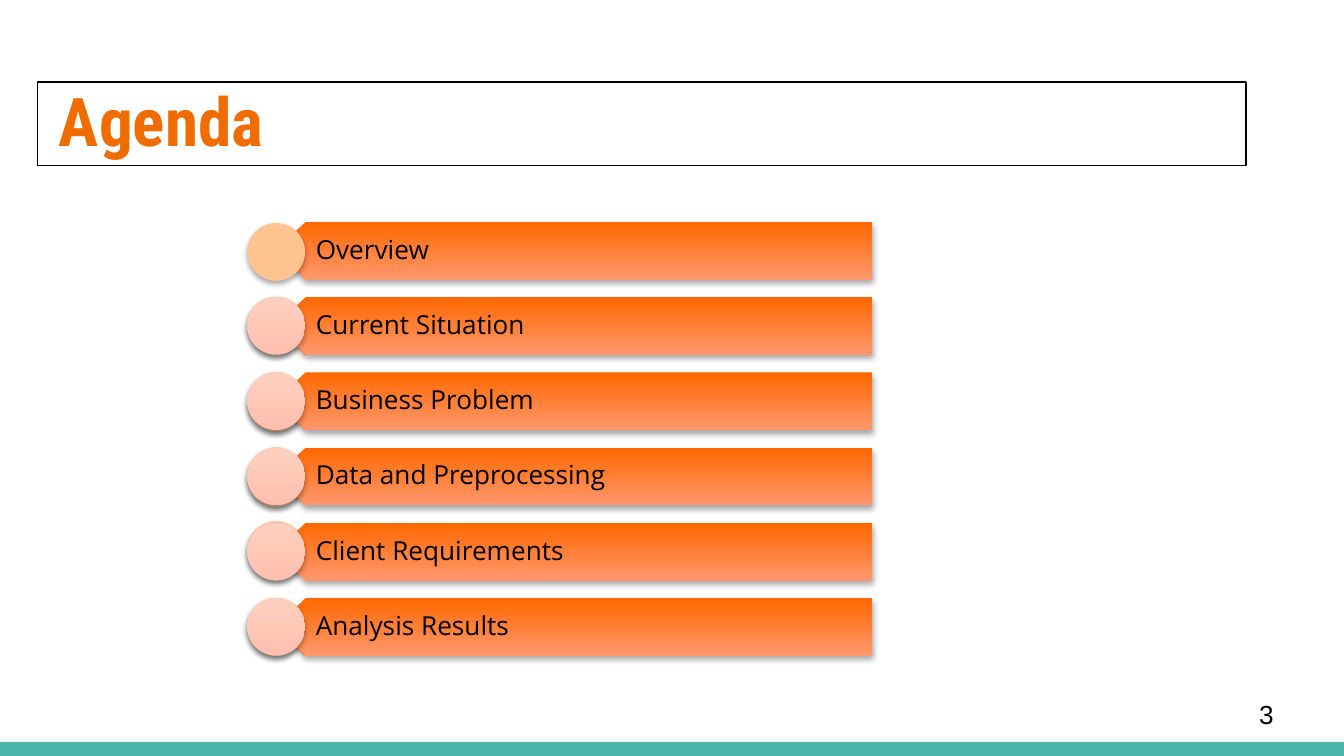
from pptx import Presentation
from pptx.dml.color import RGBColor
from pptx.enum.shapes import MSO_SHAPE as Kind
from pptx.enum.text import MSO_ANCHOR as Anchor, PP_ALIGN as Align
from pptx.oxml import parse_xml
from pptx.oxml.ns import nsdecls, qn
from pptx.util import Inches, Pt

TITLE = "Agenda"
TOPICS = [
    "Overview",
    "Current Situation",
    "Business Problem",
    "Data and Preprocessing",
    "Client Requirements",
    "Analysis Results",
]
PAGE = "3"

THEME = {
    "ink": "000000",
    "title": "EF6C00",
    "strip": "4DB6AC",
    "disc": "FFC392",
    "bar": ("FF6800", "FF976D"),
    "glow": ("FFC0B0", "FFCFBE"),
    "head": ("Roboto Condensed", 36),
    "body": ("Open Sans", 14),
    "page": ("Arial", 14),
}

TOP, STEP, SIZE = 1.65, 0.56, 0.43
DISC, BAR, LABEL = 1.84, 2.06, 2.16
RIGHT = 6.49
SHIFTS = [0.01, 0, 0.01, 0.01, -0.01, 0]


def color(name):
    return RGBColor.from_string(THEME[name])


def add_shape(slide, kind, box, fill=None, shade=False):
    shape = slide.shapes.add_shape(kind, *map(Inches, box))
    shape.shadow.inherit = False
    shape.line.fill.background()
    if fill is None:
        shape.fill.background()
    elif isinstance(THEME[fill], tuple):
        shape.fill.gradient()
        shape.fill.gradient_angle = 90
        for pos, (stop, tone) in enumerate(zip(shape.fill.gradient_stops, THEME[fill])):
            stop.position = pos
            stop.color.rgb = RGBColor.from_string(tone)
    else:
        shape.fill.solid()
        shape.fill.fore_color.rgb = color(fill)
    if shade:
        shape._element.spPr.find(qn("a:effectLst")).append(parse_xml(
            f'<a:outerShdw {nsdecls("a")} blurRad="{Pt(3.1)}" dist="{Pt(1.8)}" '
            'dir="5400000" rotWithShape="0"><a:srgbClr val="000000">'
            '<a:alpha val="35000"/></a:srgbClr></a:outerShdw>'))
    return shape


def add_text(slide, text, box, style, tone="ink", pads=(0.1,) * 4, anchor=Anchor.MIDDLE):
    frame = slide.shapes.add_textbox(*map(Inches, box)).text_frame
    frame.word_wrap = True
    frame.vertical_anchor = anchor
    frame.margin_left, frame.margin_top, frame.margin_right, frame.margin_bottom = map(Inches, pads)
    frame.text = text
    para = frame.paragraphs[0]
    font = para.runs[0].font
    font.name, size = THEME[style]
    font.size = Pt(size)
    font.color.rgb = color(tone)
    return para


def add_row(slide, top, text):
    bar = add_shape(slide, Kind.PENTAGON, (BAR, top, RIGHT - BAR, SIZE), "bar", True)
    bar.rotation = 180
    para = add_text(slide, text, (LABEL, top, RIGHT - LABEL, SIZE), "body",
                    pads=(0.19, 0.06, 0.11, 0.06))
    para.alignment = Align.JUSTIFY
    para.line_spacing = 0.9


def main():
    deck = Presentation()
    deck.slide_width = Inches(10)
    deck.slide_height = deck.slide_width * 9 // 16
    slide = deck.slides.add_slide(deck.slide_layouts[6])

    add_shape(slide, Kind.RECTANGLE, (0, 5.52, 10, 0.11), "strip")
    head = add_text(slide, TITLE, (0.34, 0.49, 9.32, 0.77), "head", "title", anchor=Anchor.TOP)
    head.runs[0].font.bold = True
    add_text(slide, PAGE, (9.27, 5.1, 0.6, 0.43), "page")

    tops = [TOP + STEP * row for row in range(len(TOPICS))]
    for top, shift in list(zip(tops, SHIFTS))[1:]:
        add_shape(slide, Kind.OVAL, (DISC, top + shift, SIZE, SIZE), "disc", True)

    frame = add_shape(slide, Kind.RECTANGLE, (0.28, 0.61, 8.99, 0.62))
    frame.line.color.rgb = color("ink")
    frame.line.width = Pt(0.75)

    for row, (top, text) in enumerate(zip(tops, TOPICS)):
        add_row(slide, top, text)
        fill, shift = ("glow", 0) if row else ("disc", SHIFTS[0])
        add_shape(slide, Kind.OVAL, (DISC, top + shift, SIZE, SIZE), fill, True)

    deck.save("out.pptx")


if __name__ == "__main__":
    main()
